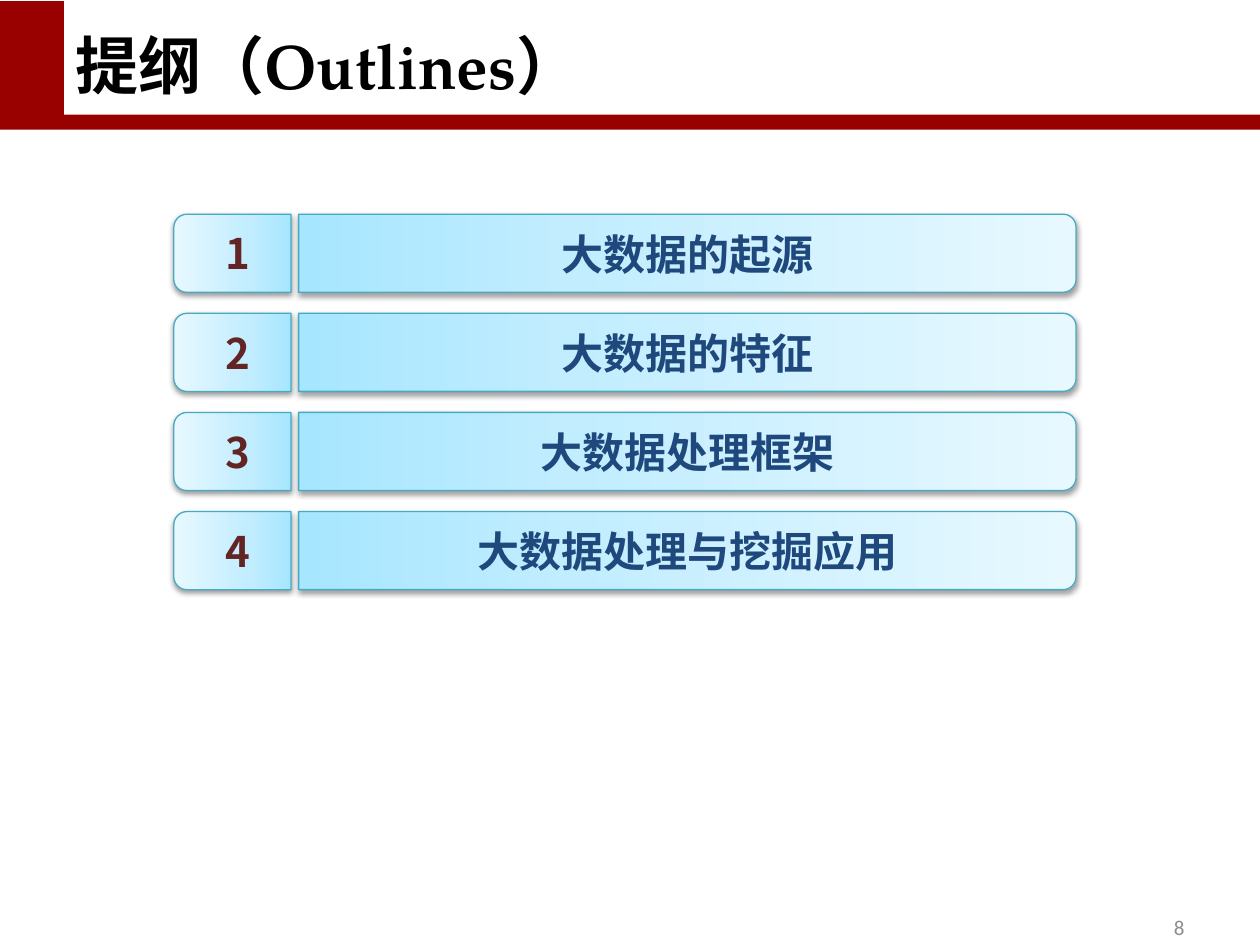
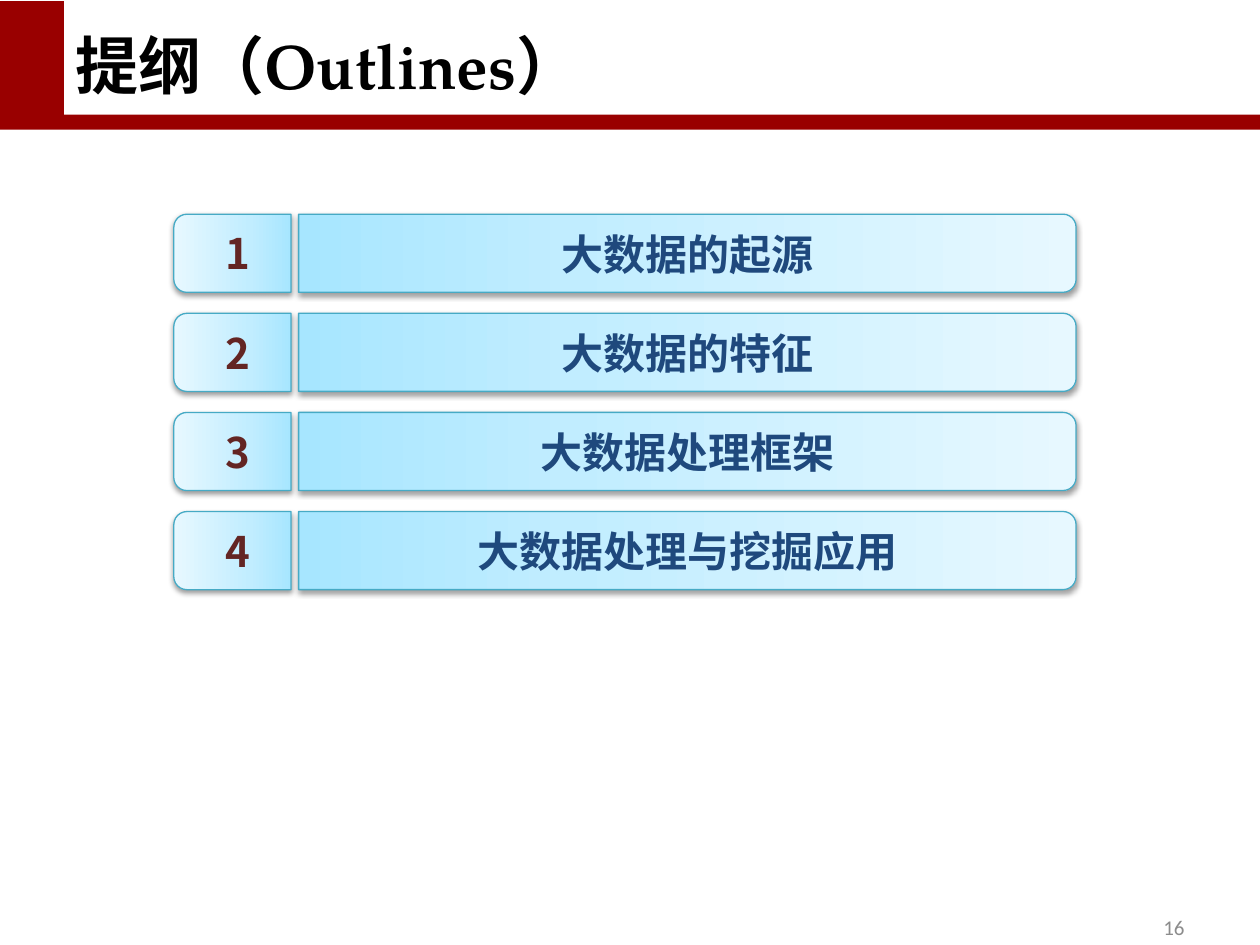
import pptx
import pptx.dml.color
import pptx.enum.shapes
import pptx.enum.text
import pptx.oxml
import pptx.oxml.ns
import pptx.util
from lxml import etree

Inches = pptx.util.Inches
SHAPE = pptx.enum.shapes.MSO_SHAPE
ALIGN = pptx.enum.text.PP_ALIGN
ANCHOR = pptx.enum.text.MSO_ANCHOR
qn = pptx.oxml.ns.qn

SANS = "Noto Sans CJK SC"
SERIF = "TeX Gyre Pagella"
RED = "990000"
WHITE = "FFFFFF"
EDGE = "46AAC5"
STOPS = [(0, "A7E6FF"), (35, "C1EDFF"), (100, "E7F8FF")]
TITLE = {"name": SANS, "size": pptx.util.Pt(36), "bold": True}
ITEM = {"name": SANS, "size": pptx.util.Pt(24), "bold": True}
PAGE = {"name": "Calibri", "size": pptx.util.Pt(12)}

TOPICS = ["大数据的起源", "大数据的特征", "大数据处理框架", "大数据处理与挖掘应用"]
TOP = 1.7
PITCH = 2.36 / 3
TALL = 0.62


def color(code):
    return pptx.dml.color.RGBColor.from_string(code)


def add_band(slide, box, code):
    band = slide.shapes.add_shape(SHAPE.RECTANGLE, *map(Inches, box))
    band.shadow.inherit = False
    band.fill.solid()
    band.fill.fore_color.rgb = color(code)
    band.line.fill.background()


def add_text(slide, box, runs, code, align, anchor=ANCHOR.MIDDLE, wrap=True):
    frame = slide.shapes.add_textbox(*map(Inches, box)).text_frame
    frame.word_wrap = wrap
    frame.vertical_anchor = anchor
    para = frame.paragraphs[0]
    para.alignment = align
    for words, style in runs:
        run = para.add_run()
        run.text = words
        for key, value in style.items():
            setattr(run.font, key, value)
        run.font.color.rgb = color(code)
        east = etree.Element(qn("a:ea"), typeface=SANS)
        run.font._element.find(qn("a:latin")).addnext(east)


def add_tab(slide, left, top, width, flip=False):
    side = left + (width - TALL) / 2
    rise = top - (width - TALL) / 2
    tab = slide.shapes.add_shape(
        SHAPE.ROUND_2_SAME_RECTANGLE, *map(Inches, (side, rise, TALL, width)))
    tab.rotation = 270
    props = tab._element.spPr
    if flip:
        props.find(qn("a:xfrm")).set("flipV", "1")
    tab.line.color.rgb = color(EDGE)
    tab.line.width = pptx.util.Pt(0.75)
    space = pptx.oxml.ns.nsdecls("a")
    stops = "".join(
        f'<a:gs pos="{spot * 1000}"><a:srgbClr val="{code}"/></a:gs>'
        for spot, code in STOPS)
    fill = pptx.oxml.parse_xml(
        f'<a:gradFill {space} rotWithShape="1"><a:gsLst>{stops}</a:gsLst>'
        '<a:lin ang="16200000" scaled="1"/></a:gradFill>')
    props.find(qn("a:prstGeom")).addnext(fill)
    tab.shadow.inherit = False
    shade = pptx.oxml.parse_xml(
        f'<a:outerShdw {space} blurRad="40000" dist="20000" dir="5400000" '
        'rotWithShape="0"><a:srgbClr val="000000"><a:alpha val="38000"/>'
        '</a:srgbClr></a:outerShdw>')
    props.find(qn("a:effectLst")).append(shade)


def add_topic(slide, rank, words):
    top = TOP + (rank - 1) * PITCH
    add_tab(slide, 1.38, top, 0.93)
    add_tab(slide, 2.37, top, 6.17, flip=True)
    add_text(slide, (2.43, top, 6.06, TALL), [(words, ITEM)], "1F497D", ALIGN.CENTER)
    add_text(slide, (1.69, top + 0.06, 0.37, 0.5), [(str(rank), ITEM)], "632523",
             ALIGN.CENTER, ANCHOR.TOP, False)


def add_frame(slide, page):
    add_band(slide, (0, 0.01, 10, 1.02), RED)
    add_band(slide, (0.51, 0, 9.49, 0.91), WHITE)
    title = [("提纲", TITLE), ("（Outlines）", {**TITLE, "name": SERIF})]
    add_text(slide, (0.5, 0.14, 9, 0.72), title, "000000", ALIGN.LEFT, ANCHOR.BOTTOM)
    add_text(slide, (7.17, 7.16, 2.33, 0.4), [(str(page), PAGE)], "8C8C8C", ALIGN.RIGHT)


def main():
    deck = pptx.Presentation()
    deck.slide_width = Inches(10)
    deck.slide_height = Inches(7.5)
    for page in (8, 16):
        slide = deck.slides.add_slide(deck.slide_layouts[6])
        add_frame(slide, page)
        for rank, words in enumerate(TOPICS, 1):
            add_topic(slide, rank, words)
    deck.save("out.pptx")


if __name__ == "__main__":
    main()
